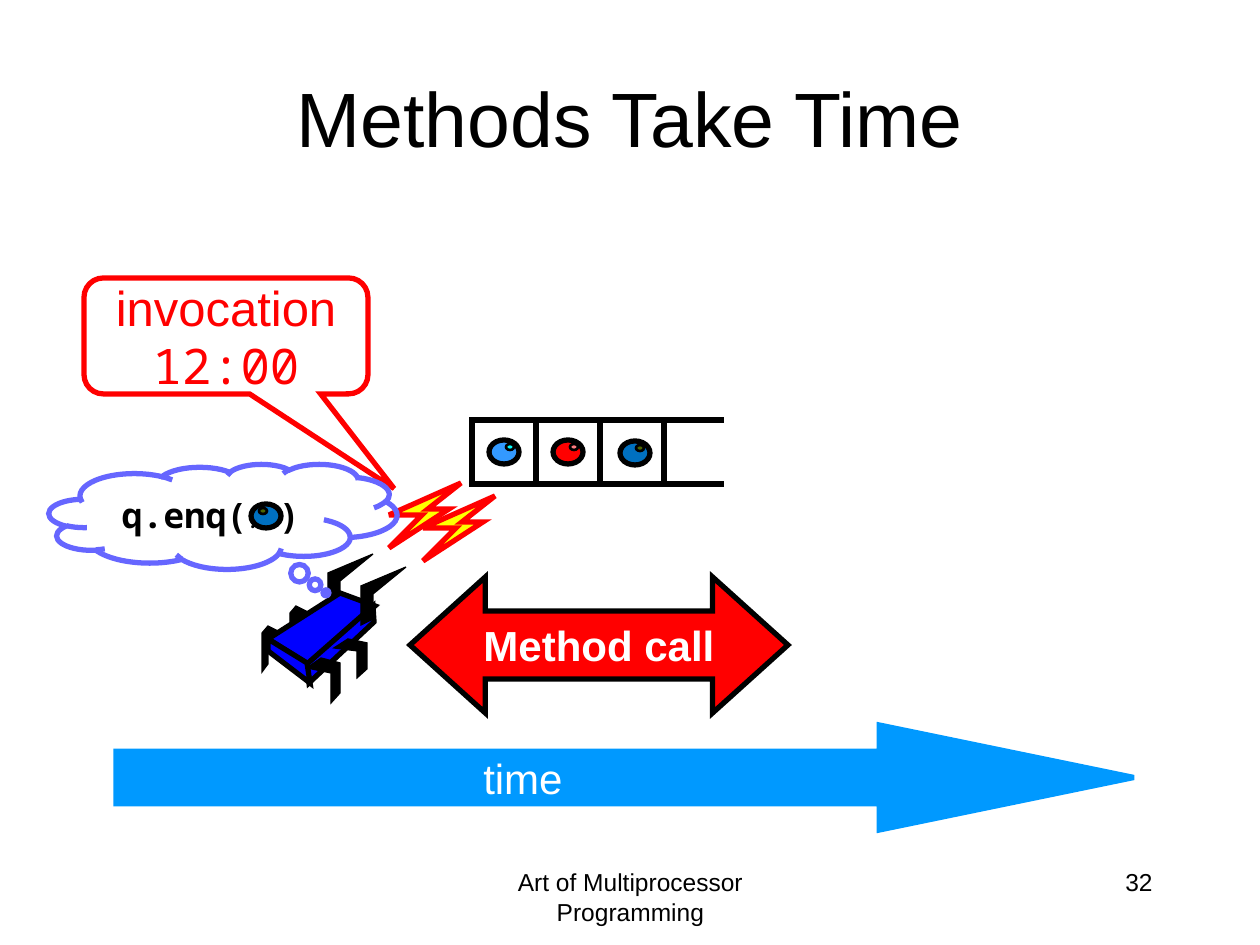
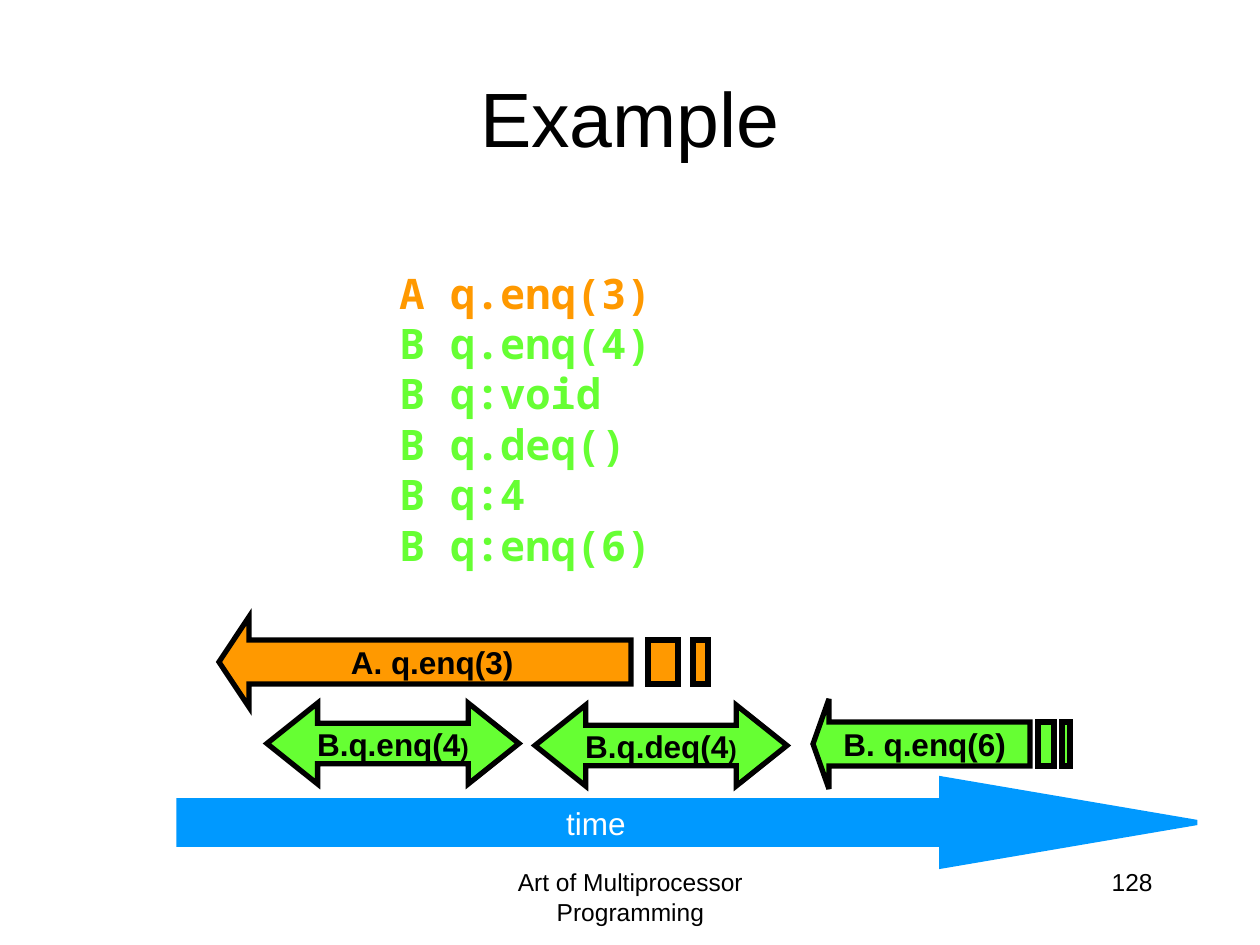
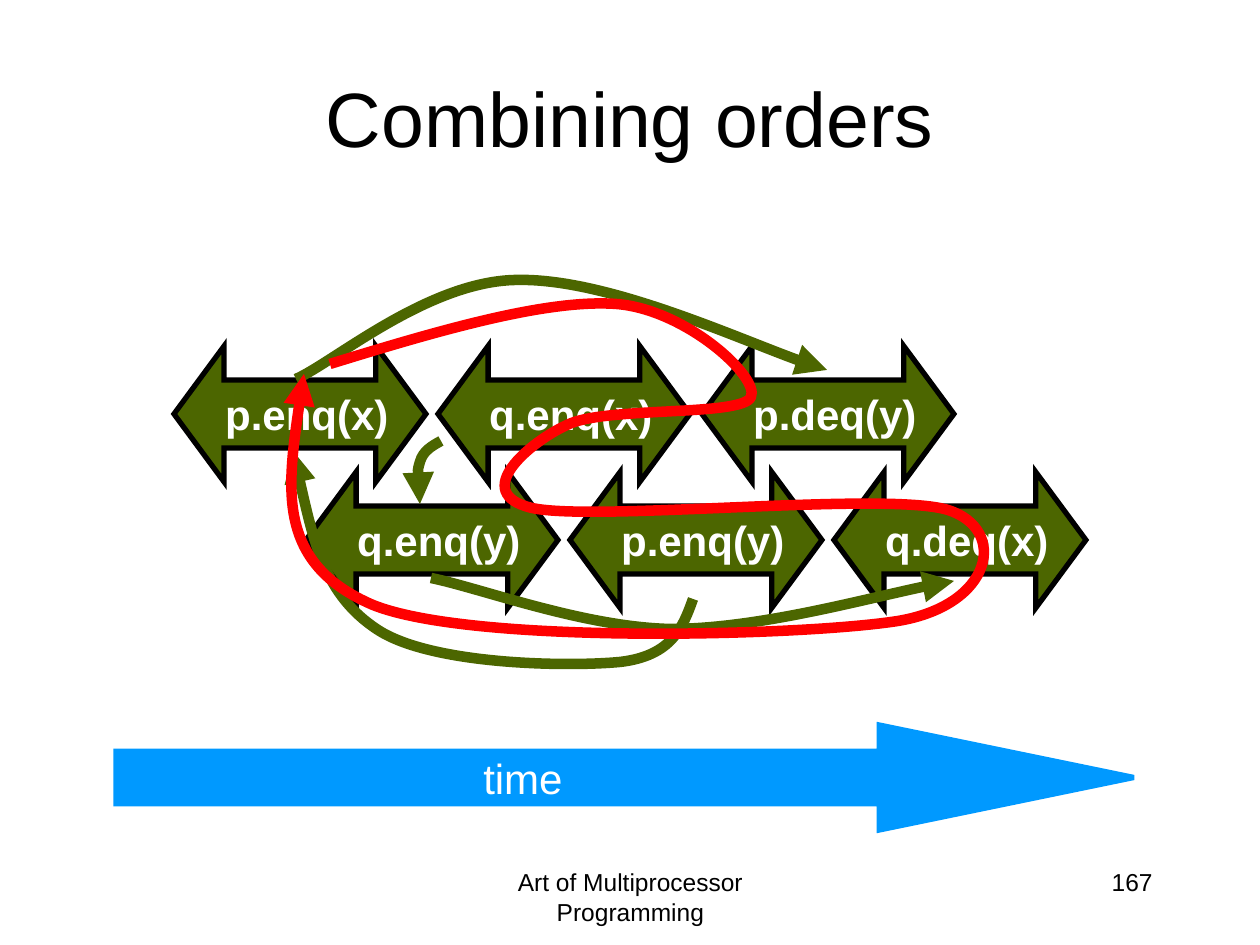
import lxml.etree
import pptx
import pptx.util
from pptx.dml.color import RGBColor
from pptx.enum.shapes import MSO_CONNECTOR, MSO_SHAPE
from pptx.enum.text import MSO_ANCHOR, PP_ALIGN
from pptx.oxml.ns import qn

PX = 914400 / 126  # EMU per px
SANS, MONO = "Arial", "Noto Sans Mono"
COLORS = {
    "black": "000000", "white": "FFFFFF", "red": "FF0000", "pink": "FF7C80",
    "yellow": "FFFF00", "orange": "FF9900", "lime": "66FF33", "olive": "4C6600",
    "time": "0099FF", "sky": "3399FF", "cyan": "00FFFF", "steel": "0070C0",
    "bug": "0000FF", "thought": "6666FF",
}
LEFT, CENTER, RIGHT = PP_ALIGN.LEFT, PP_ALIGN.CENTER, PP_ALIGN.RIGHT


def draw(s, kind, geo, fill=None, line=None, width=3, adj=()):
    """Draw a preset shape or text box (geo: box), outline (contours) or curve (points)."""
    if kind == "outline":
        builder = s.shapes.build_freeform(*geo[0][0], scale=PX)
        builder.add_line_segments(geo[0][1:], close=True)
        for contour in geo[1:]:
            builder.move_to(*contour[0])
            builder.add_line_segments(contour[1:], close=True)
        sp = builder.convert_to_shape()
    elif kind == "curve":
        builder = s.shapes.build_freeform(*geo[0], scale=PX)
        builder.add_line_segments(geo[1:], close=False)
        sp = builder.convert_to_shape()
        # every three points after the first make one Bezier segment
        path = sp.element.find(".//" + qn("a:path"))
        steps = path.findall(qn("a:lnTo"))
        for i in range(0, len(steps), 3):
            bezier = lxml.etree.SubElement(path, qn("a:cubicBezTo"))
            for step in steps[i:i + 3]:
                bezier.append(step[0])
                path.remove(step)
    else:
        box = [round(v * PX) for v in geo]
        if kind == "text":
            return s.shapes.add_textbox(*box)
        sp = s.shapes.add_shape(kind, *box)
        for i, value in enumerate(adj):
            sp.adjustments[i] = value
    sp.shadow.inherit = False
    if fill:
        sp.fill.solid()
        sp.fill.fore_color.rgb = RGBColor.from_string(COLORS[fill])
    else:
        sp.fill.background()
    sp.line.color.rgb = RGBColor.from_string(COLORS[line])
    sp.line.width = pptx.util.Pt(width)
    ln = sp.element.spPr.find(qn("a:ln"))
    lxml.etree.SubElement(ln, qn("a:miter"), lim="800000")
    return sp


def write(sp, paragraphs, align=CENTER, wrap=True, anchor=MSO_ANCHOR.MIDDLE):
    """Fill a shape with paragraphs of (text, size, color, font, bold) runs."""
    tf = sp.text_frame
    tf.word_wrap = wrap
    tf.vertical_anchor = anchor
    for i, runs in enumerate(paragraphs):
        p = tf.add_paragraph() if i else tf.paragraphs[0]
        p.alignment = align
        for text, size, color, font, bold in runs:
            r = p.add_run()
            r.text = text
            r.font.size = pptx.util.Pt(size)
            r.font.name = font
            r.font.bold = bold
            r.font.color.rgb = RGBColor.from_string(COLORS[color])


prs = pptx.Presentation()
prs.slide_width = round(1260 * PX)
prs.slide_height = round(945 * PX)

# Shared parts: title, footer, slide number, time arrow
slides = []
big_time = ((116, 725, 1018, 105), 2.425, (469, 746, 106, 64), 24)
small_time = ((179, 779, 1018, 87), 2.932, (552, 798, 86, 50), 18)
for title, number, (arrow, head, label, size) in (
        ("Methods Take Time", "32", big_time),
        ("Example", "128", small_time),
        ("Combining orders", "167", big_time)):
    s = prs.slides.add_slide(prs.slide_layouts[5])
    slides.append(s)
    sp = s.shapes.title
    sp.left, sp.top, sp.width, sp.height = [round(v * PX) for v in (63, 38, 1134, 158)]
    write(sp, [[(title, 44, "black", SANS, False)]])
    for box, text, align in (
            ((431, 861, 399, 63), "Art of Multiprocessor Programming", CENTER),
            ((903, 861, 262, 63), number, RIGHT)):
        write(draw(s, "text", box), [[(text, 14, "black", SANS, False)]],
              align, anchor=MSO_ANCHOR.TOP)
    draw(s, MSO_SHAPE.RIGHT_ARROW, arrow, "time", "time", adj=(0.5, head))
    write(draw(s, "text", label), [[("time", size, "white", SANS, False)]],
          RIGHT, wrap=False, anchor=MSO_ANCHOR.TOP)

# Slide 1: queue cells, open at the right end
s = slides[0]
for i in range(3):
    draw(s, MSO_SHAPE.RECTANGLE, (472 + 64 * i, 420, 64, 64), None, "black")
for y in (420, 484):
    cn = s.shapes.add_connector(
        MSO_CONNECTOR.STRAIGHT, *[round(v * PX) for v in (660, y, 724, y)])
    cn.line.color.rgb = RGBColor.from_string(COLORS["black"])
    cn.line.width = pptx.util.Pt(3)
    lxml.etree.SubElement(cn.element.spPr, qn("a:effectLst"))

# Slide 1: method call and invocation
sp = draw(s, MSO_SHAPE.LEFT_RIGHT_ARROW, (410, 577, 378, 136), "red", "black",
          adj=(0.5, 0.554))
write(sp, [[("Method call", 24, "white", SANS, True)]], wrap=False)
sp = draw(s, MSO_SHAPE.ROUNDED_RECTANGULAR_CALLOUT, (84, 278, 284, 116), None, "red",
          adj=(0.592, 1.316, 0.167))
write(sp, [[("invocation ", 28, "red", SANS, False), ("12:00", 28, "red", MONO, False)]])

# Slide 1: thread bug with lightning
bolt = [(389, 548), (422, 515), (389, 515), (461, 483), (428, 509), (449, 509)]
feeler = [(328, 612), (340, 606), (340, 581), (373, 554), (328, 573)]
back_leg = [(282, 633), (268, 626), (262, 633), (262, 672), (268, 664),
            (268, 639), (282, 645)]
body_top = [(340, 593), (268, 639), (309, 665), (375, 606)]
body_side = [(373, 606), (307, 664), (309, 683), (374, 622)]
body_front = [(268, 639), (268, 651), (310, 683), (307, 663)]
front_leg = [(321, 658), (307, 668), (331, 673), (331, 703), (340, 693), (340, 663)]
side_leg = [(348, 639), (334, 648), (357, 651), (357, 678), (367, 669), (367, 643)]
limb, body, flash = ("black", "black", 0.75), ("bug", "black", 3), ("yellow", "red", 3)
for points, dx, dy, look in (
        (bolt, 0, 0, flash), (feeler, 0, 0, limb),
        (back_leg, 0, 0, limb), (back_leg, 28, -20, limb),
        (body_top, 0, 0, body), (body_side, 0, 0, body), (body_front, 0, 0, body),
        (front_leg, 0, 0, limb), (side_leg, 0, 0, limb),
        (feeler, 33, 13, limb), (bolt, 34, 13, flash)):
    draw(s, "outline", [[(x + dx, y + dy) for x, y in points]], *look)

# Slide 1: items with a highlight, in the queue and in the thought
for x, y, dx, color, shine in (
        (489, 440, 17, "sky", "cyan"), (553, 440, 17, "red", "pink"),
        (620, 441, 16, "steel", "olive"), (251, 504, 8, "steel", "olive")):
    draw(s, MSO_SHAPE.OVAL, (x, y, 30, 24), color, "black")
    draw(s, MSO_SHAPE.OVAL, (x + dx, y + 4, 8, 6), shine, "black", 1.5)
sp = draw(s, MSO_SHAPE.CLOUD_CALLOUT, (49, 464, 348, 105), None, "thought",
          adj=(0.296, 0.727))
write(sp, [[("q.enq(", 20, "black", MONO, True), ("...", 10, "black", MONO, True),
            (")", 20, "black", MONO, True)]])

# Slide 2: history
s = slides[1]
history = (("A q.enq(3)", "orange"), ("B q.enq(4)", "lime"), ("B q:void", "lime"),
           ("B q.deq()", "lime"), ("B q:4", "lime"), ("B q:enq(6)", "lime"))
write(draw(s, "text", (387, 261, 384, 315)),
      [[(text, 24, color, MONO, True)] for text, color in history],
      LEFT, anchor=MSO_ANCHOR.TOP)

# Slide 2: completed calls
for x, y, text in ((267, 703, "B.q.enq(4"), (535, 705, "B.q.deq(4")):
    sp = draw(s, MSO_SHAPE.LEFT_RIGHT_ARROW, (x, y, 252, 81), "lime", "black",
              adj=(0.5, 0.626))
    write(sp, [[(text, 18, "black", SANS, True), (")", 14, "black", SANS, True)]],
          wrap=False)

# Slide 2: pending calls, arrows that fade out in two bars
for tip, neck, end, bars, top, color, text, shift in (
        (219, 249, 631, ((648, 678), (693, 708)), 617, "orange", "A. q.enq(3)", 62),
        (813, 829, 1030, ((1038, 1054), (1062, 1070)), 699, "lime", "B. q.enq(6)", 33)):
    upper, lower = top + 23, top + 67
    contours = [[(neck, top), (neck, upper), (end, upper), (end, lower),
                 (neck, lower), (neck, top + 90), (tip, top + 45)]]
    for a, b in bars:
        contours.append([(b, upper), (b, lower), (a, lower), (a, upper)])
    sp = draw(s, "outline", contours, color, "black")
    write(sp, [[(text, 18, "black", SANS, True)]], wrap=False)
    sp.text_frame.margin_right = round((13 + shift) * PX)

# Slide 3: calls staggered over two rows
s = slides[2]
for i, text in enumerate(("p.enq(x)", "q.enq(y)", "q.enq(x)",
                          "p.enq(y)", "p.deq(y)", "q.deq(x)")):
    sp = draw(s, MSO_SHAPE.LEFT_RIGHT_ARROW, (174 + 132 * i, 346 + 126 * (i % 2), 252, 136),
              "olive", "black", adj=(0.5, 0.369))
    write(sp, [[(text, 24, "white", SANS, True)]], RIGHT, wrap=False)

# Slide 3: order arrows, and the cycle they form in red
for color, end, points in (
        ("olive", "a:headEnd", [
            (420, 504), (418, 489), (417, 472), (420, 462),
            (423, 451), (432, 446), (441, 441)]),
        ("olive", "a:headEnd", [
            (954, 581), (906, 588), (757, 629), (670, 629),
            (583, 627), (480, 588), (431, 578)]),
        ("olive", "a:headEnd", [
            (827, 370), (775, 355), (605, 278), (517, 280),
            (428, 281), (333, 363), (296, 379)]),
        ("olive", "a:headEnd", [
            (293, 451), (309, 523), (324, 595), (378, 630),
            (432, 665), (567, 667), (620, 662),
            (672, 656), (683, 627), (693, 599)]),
        ("red", "a:tailEnd", [
            (330, 364), (437, 331), (546, 299), (616, 304),
            (685, 309), (760, 377), (751, 397),
            (743, 417), (604, 406), (567, 425),
            (530, 442), (469, 493), (532, 508),
            (596, 522), (886, 491), (948, 510),
            (1008, 529), (994, 605), (898, 621),
            (803, 636), (473, 645), (373, 605),
            (275, 563), (289, 469), (304, 374)])):
    sp = draw(s, "curve", points, None, color, 6)
    lxml.etree.SubElement(sp.element.spPr.find(qn("a:ln")), qn(end), type="triangle")

prs.save("out.pptx")
